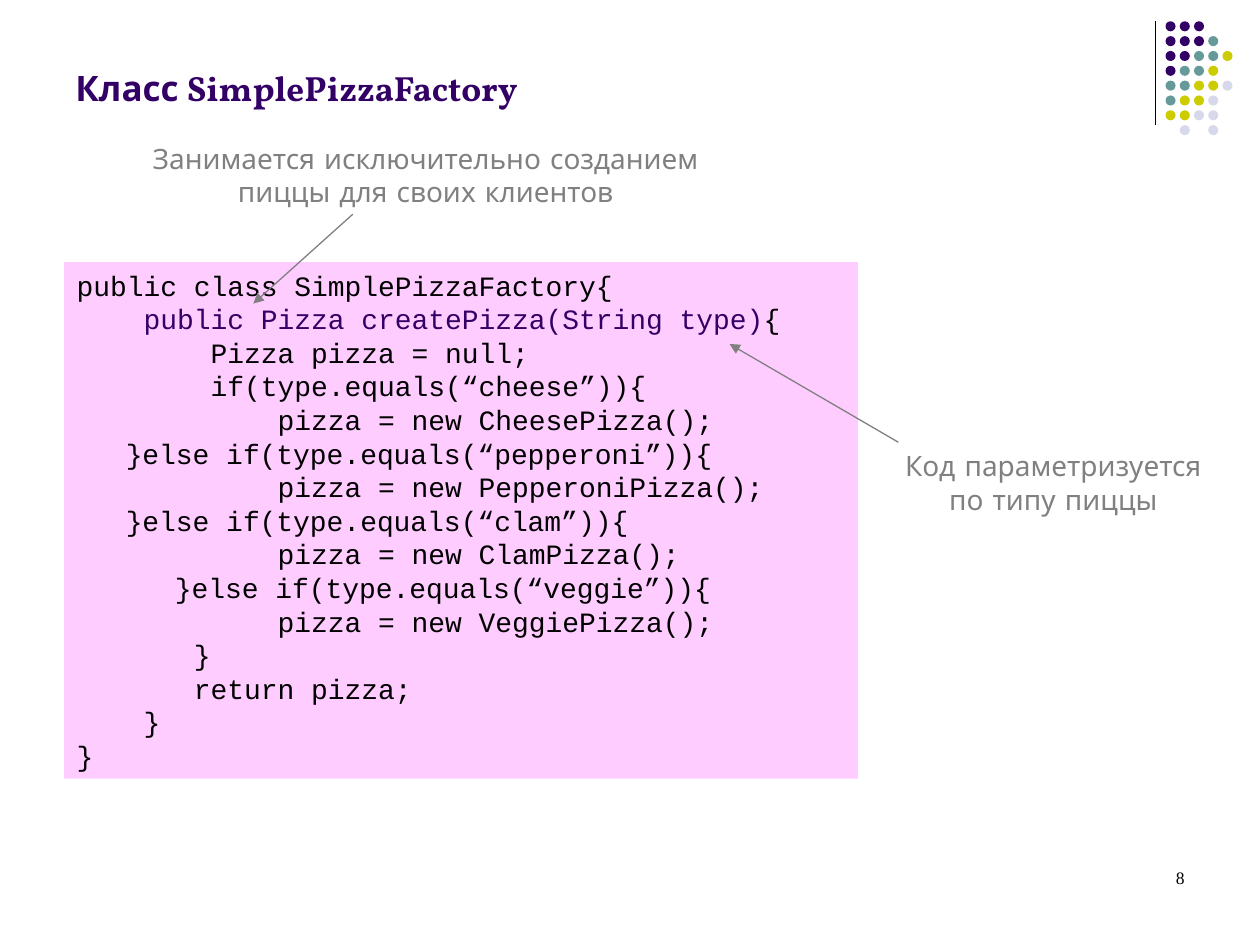
from pptx import Presentation
from pptx.util import Inches, Pt
from pptx.dml.color import RGBColor as RGB
from pptx.enum.shapes import MSO_SHAPE as SHAPE, MSO_CONNECTOR as CONN
from pptx.enum.text import PP_ALIGN as ALIGN, MSO_ANCHOR as ANCHOR
from pptx.oxml.ns import qn
from lxml.etree import SubElement

COLORS = {"purple": "330066", "teal": "669999", "olive": "CCCC00", "lilac": "D8D8EC",
          "pink": "FFCCFF", "gray": "808080", "black": "000000"}

prs = Presentation()
prs.slide_width, prs.slide_height = Inches(10), Inches(7.5)
W, H = prs.slide_width / 100, prs.slide_height / 100  # one percent of the slide
s = prs.slides.add_slide(prs.slide_layouts[6])


def write(p, text, **fmt):
    r = p.add_run()
    r.text = text
    r.font.color.rgb = RGB.from_string(COLORS[fmt.pop("color")])
    for key, value in fmt.items():
        setattr(r.font, key, value)


def line(x1, y1, x2, y2, color, arrow=False):
    c = s.shapes.add_connector(CONN.STRAIGHT, int(x1 * W), int(y1 * H), int(x2 * W), int(y2 * H))
    c.line.width = Pt(0.75)
    c.line.color.rgb = RGB.from_string(COLORS[color])
    if arrow:
        SubElement(c.line._get_or_add_ln(), qn("a:tailEnd"), type="triangle")
    SubElement(c._element.spPr, qn("a:effectLst"))


# Corner ornament: a rule and a grid of dots, one letter per dot
line(91.7, 2.27, 91.7, 13.2, "black")
DOTS = ["ppp", "pppt", "pptto", "ptto", "ttool", "tool", "ooll", " l l"]
by_letter = {name[0]: COLORS[name] for name in ("purple", "teal", "olive", "lilac")}
for row, letters in enumerate(DOTS):
    for col, letter in enumerate(letters):
        if letter == " ":
            continue
        dot = s.shapes.add_shape(SHAPE.OVAL, int((92.5 + 1.13 * col) * W),
                                 int((2.25 + 1.57 * row) * H), Inches(0.08), Inches(0.08))
        dot.shadow.inherit = False
        dot.fill.solid()
        dot.fill.fore_color.rgb = RGB.from_string(by_letter[letter])
        dot.line.fill.background()

# Title
sp = s.shapes.add_textbox(int(5 * W), int(1.73 * H), int(86 * W), int(10.4 * H))
tf = sp.text_frame
tf.word_wrap, tf.vertical_anchor = True, ANCHOR.BOTTOM
p = tf.paragraphs[0]
title = {"color": "purple", "size": Pt(20), "bold": True}
write(p, "Класс ", name="Cabin", **title)
write(p, "SimplePizzaFactory", name="Vollkorn", **title)

# Code panel: the signature on the second line is highlighted
CODE = """public class SimplePizzaFactory{
    public Pizza createPizza(String type){
        Pizza pizza = null;
        if(type.equals(“cheese”)){
            pizza = new CheesePizza();
\t}else if(type.equals(“pepperoni”)){
            pizza = new PepperoniPizza();
  \t}else if(type.equals(“clam”)){
            pizza = new ClamPizza();
   \t}else if(type.equals(“veggie”)){
            pizza = new VeggiePizza();
       }
       return pizza;
    }
}"""
SIGNATURE = "public Pizza createPizza(String type)"
sp = s.shapes.add_shape(SHAPE.RECTANGLE, int(5.1 * W), int(27.73 * H), int(63 * W), int(54.67 * H))
sp.shadow.inherit = False
sp.fill.solid()
sp.fill.fore_color.rgb = RGB.from_string(COLORS["pink"])
sp.line.fill.background()
tf = sp.text_frame
tf.word_wrap, tf.vertical_anchor = True, ANCHOR.TOP
for i, text in enumerate(CODE.split("\n")):
    p = tf.paragraphs[0] if i == 0 else tf.add_paragraph()
    p.alignment, p.line_spacing = ALIGN.LEFT, Pt(19.2)
    tabs = SubElement(p._p.get_or_add_pPr(), qn("a:tabLst"))
    for stop in (0.39, 0.78, 1.18):
        SubElement(tabs, qn("a:tab"), pos=str(Inches(stop)), algn="l")
    before, found, after = text.partition(SIGNATURE)
    for part, color in ((before, "black"), (found, "purple"), (after, "black")):
        if part:
            write(p, part, color=color, name="Courier New", size=Pt(16))

# Notes and slide number
gray = {"name": "Comic Neue", "size": Pt(16), "color": "gray"}
number = {"name": "Times New Roman", "size": Pt(10), "color": "black"}
BOXES = [
    (9, 14.27, 49.6, 8.53, "Занимается исключительно созданием пиццы для своих клиентов",
     ALIGN.CENTER, Pt(19.2), gray),
    (70.5, 46.8, 26.2, 8.53, "Код параметризуется по типу пиццы", ALIGN.CENTER, Pt(19.2), gray),
    (71.7, 91.07, 23.3, 6.67, "8", ALIGN.RIGHT, None, number),
]
for x, y, w, h, text, align, spacing, fmt in BOXES:
    sp = s.shapes.add_textbox(int(x * W), int(y * H), int(w * W), int(h * H))
    sp.text_frame.word_wrap = True
    p = sp.text_frame.paragraphs[0]
    p.alignment, p.line_spacing = align, spacing
    write(p, text, **fmt)

# Arrows from the notes to the code
line(28, 22.67, 20.1, 32.13, "gray", arrow=True)
line(71.3, 46.8, 57.9, 36.4, "gray", arrow=True)

prs.save("out.pptx")
